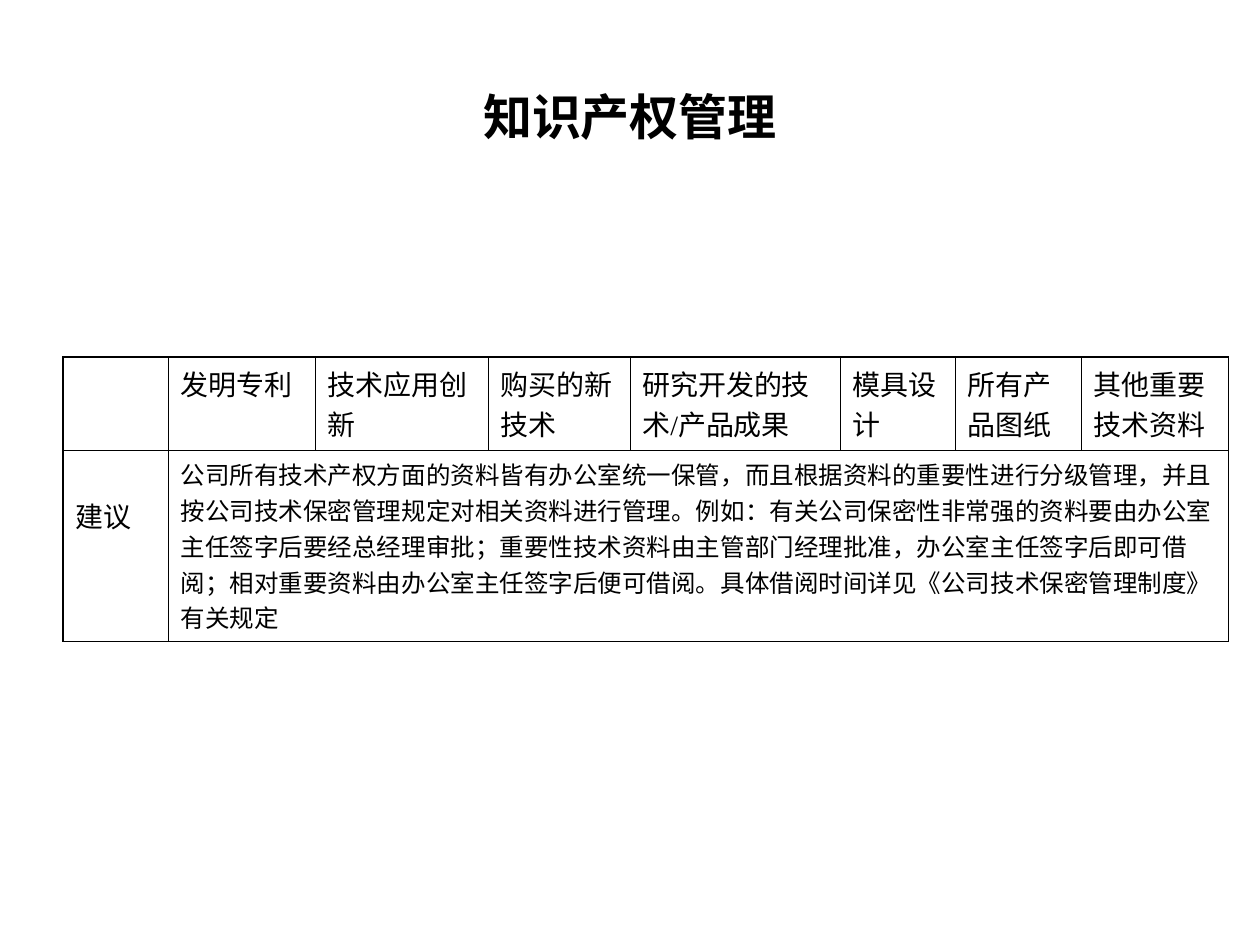
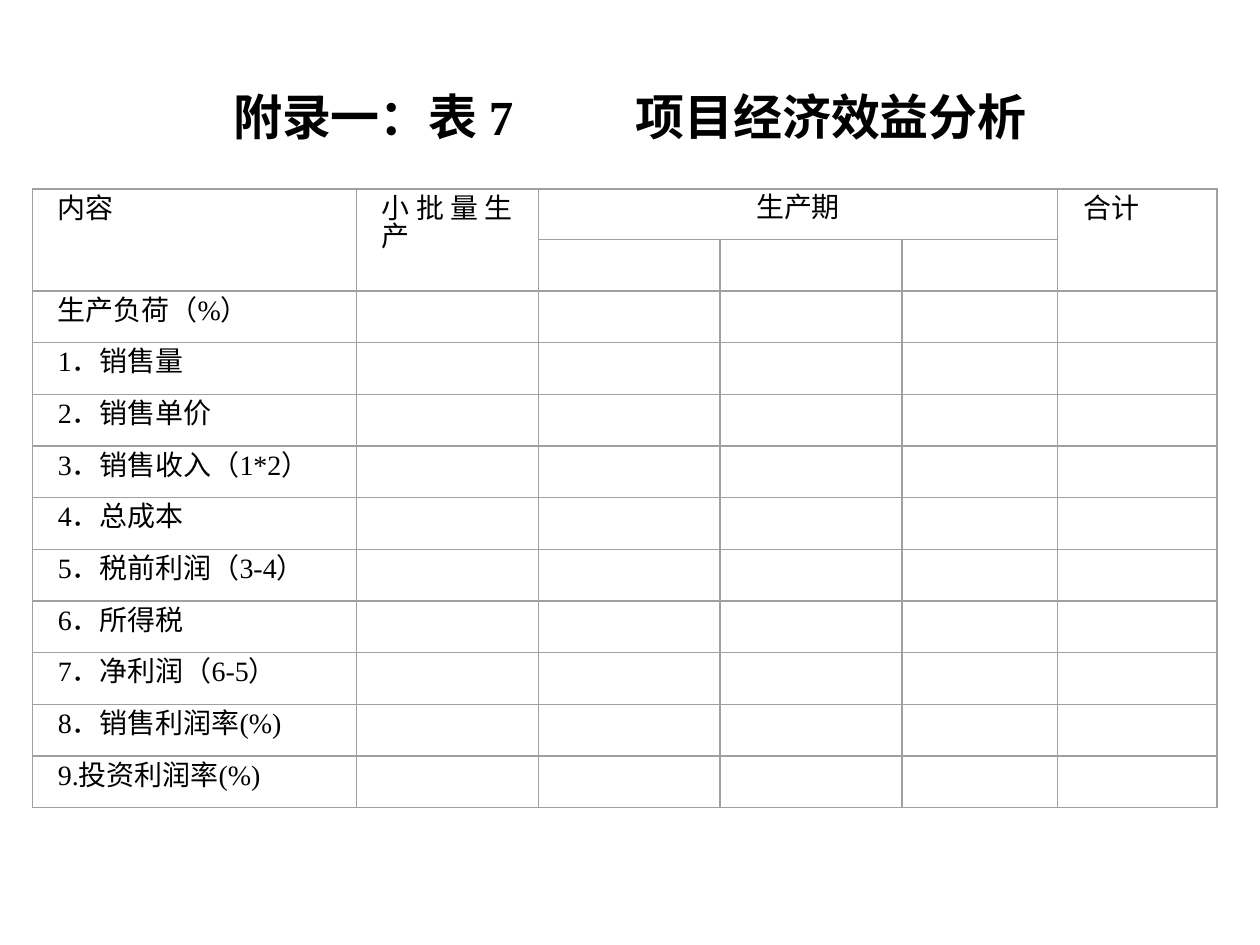
from itertools import accumulate as sums
from lxml.etree import SubElement as Sub
from pptx import Presentation as Deck
from pptx.dml.color import RGBColor as RGB
from pptx.enum.shapes import MSO_SHAPE as Kind
from pptx.enum.text import MSO_ANCHOR as Anchor, PP_ALIGN as Align
from pptx.oxml import parse_xml
from pptx.oxml.ns import nsdecls, qn
from pptx.util import Inches, Pt

INK = {"text": "000000", "rule": "000000", "grid": "A0A0A0"}
FACE = "Times New Roman"

deck = Deck()
deck.slide_width, deck.slide_height = Inches(10), Inches(7.5)
unit = deck.slide_width / 120


def scale(*cells):
    return [int(n * unit) for n in cells]


def write(frame, text, size, align=None, bold=False, space=1, tab=None):
    frame.word_wrap = True
    para = frame.paragraphs[0]
    para.text = text
    para.alignment = align
    para.line_spacing = space
    props = para._p.get_or_add_pPr()
    props.set("hangingPunct", "0")
    if tab:
        stops = Sub(props, qn("a:tabLst"))
        Sub(stops, qn("a:tab"), pos=str(int(tab * unit)), algn="l")
    font = para.font
    font.name, font.size, font.bold = FACE, Pt(size), bold
    font.color.rgb = RGB.from_string(INK["text"])


pages = []
for text, top, height, tab in [
        ("知识产权管理", 5, 12, None),
        ("附录一：表 7\t项目经济效益分析", 7, 8, 38.3)]:
    page = deck.slides.add_slide(deck.slide_layouts[6])
    frame = page.shapes.add_textbox(*scale(9, top, 102, height)).text_frame
    frame.vertical_anchor = Anchor.MIDDLE
    write(frame, text, 28, Align.CENTER, bold=True, tab=tab)
    pages.append(page)

cols, rows = [10, 14, 16.5, 13.5, 20, 11, 12, 14], [8.86, 18.2]
box = scale(6, 34, sum(cols), sum(rows))
table = pages[0].shapes.add_table(len(rows), len(cols), *box).table
table.first_row = table.horz_banding = False
for col, size in zip(table.columns, scale(*cols)):
    col.width = size
for row, size in zip(table.rows, scale(*rows)):
    row.height = size
for r in range(len(rows)):
    for c in range(len(cols)):
        cell = table.cell(r, c)
        cell.fill.background()
        thick = {"L": c == 0, "T": r == 0}
        for i, side in enumerate("LRTB"):
            width = 1.08 if thick.get(side) else 0.45
            line = parse_xml(
                f'<a:ln{side} {nsdecls("a")} w="{Pt(width)}"><a:solidFill>'
                f'<a:srgbClr val="{INK["rule"]}"/></a:solidFill></a:ln{side}>')
            cell._tc.tcPr.insert(i, line)

heads = ["", "发明专利", "技术应用创新", "购买的新技术", "研究开发的技术/产品成果",
         "模具设计", "所有产品图纸", "其他重要技术资料"]
for c, text in enumerate(heads):
    write(table.cell(0, c).text_frame, text, 16)
advice = table.cell(1, 0)
advice.margin_top = int(4.3 * unit)
write(advice.text_frame, "建议", 16)
table.cell(1, 1).merge(table.cell(1, 7))
write(table.cell(1, 1).text_frame,
      "公司所有技术产权方面的资料皆有办公室统一保管，而且根据资料的重要性进行分级管理，"
      "并且按公司技术保密管理规定对相关资料进行管理。例如：有关公司保密性非常强的资料要由"
      "办公室主任签字后要经总经理审批；重要性技术资料由主管部门经理批准，办公室主任签字后"
      "即可借阅；相对重要资料由办公室主任签字后便可借阅。具体借阅时间详见"
      "《公司技术保密管理制度》有关规定", 14)

items = ["生产负荷（%）", "1．销售量", "2．销售单价", "3．销售收入（1*2）",
         "4．总成本", "5．税前利润（3-4）", "6．所得税", "7．净利润（6-5）",
         "8．销售利润率(%)", "9.投资利润率(%)"]
xs = list(sums([3.1, 30.85, 17.32, 17.32, 17.32, 14.83, 15.2]))
ys = list(sums([18, 4.8] + [4.92] * (len(items) + 1)))
grid = [(0, 0, 1, 2, "内容"), (1, 0, 1, 2, "小批量生产"),
        (2, 0, 3, 1, "生产期"), (5, 0, 1, 2, "合计")]
grid += [(c, 1, 1, 1, "") for c in (2, 3, 4)]
for r, text in enumerate(items, 2):
    grid += [(c, r, 1, 1, "" if c else text) for c in range(6)]
grid.append((0, 0, 6, len(ys) - 1, ""))

shapes = pages[1].shapes
for c, r, wide, high, text in grid:
    left, top = xs[c], ys[r]
    width, height = xs[c + wide] - left, ys[r + high] - top
    if text:
        label = shapes.add_textbox(*scale(left + 1.24, top, width - 2.48, height))
        align = Align.CENTER if wide > 1 else Align.JUSTIFY
        write(label.text_frame, text, 16, align, space=0.85)
    rect = shapes.add_shape(Kind.RECTANGLE, *scale(left, top, width, height))
    rect.shadow.inherit = False
    rect.fill.background()
    rect.line.color.rgb = RGB.from_string(INK["grid"])
    rect.line.width = Pt(0.88 if wide == 6 else 0)

deck.save("out.pptx")
